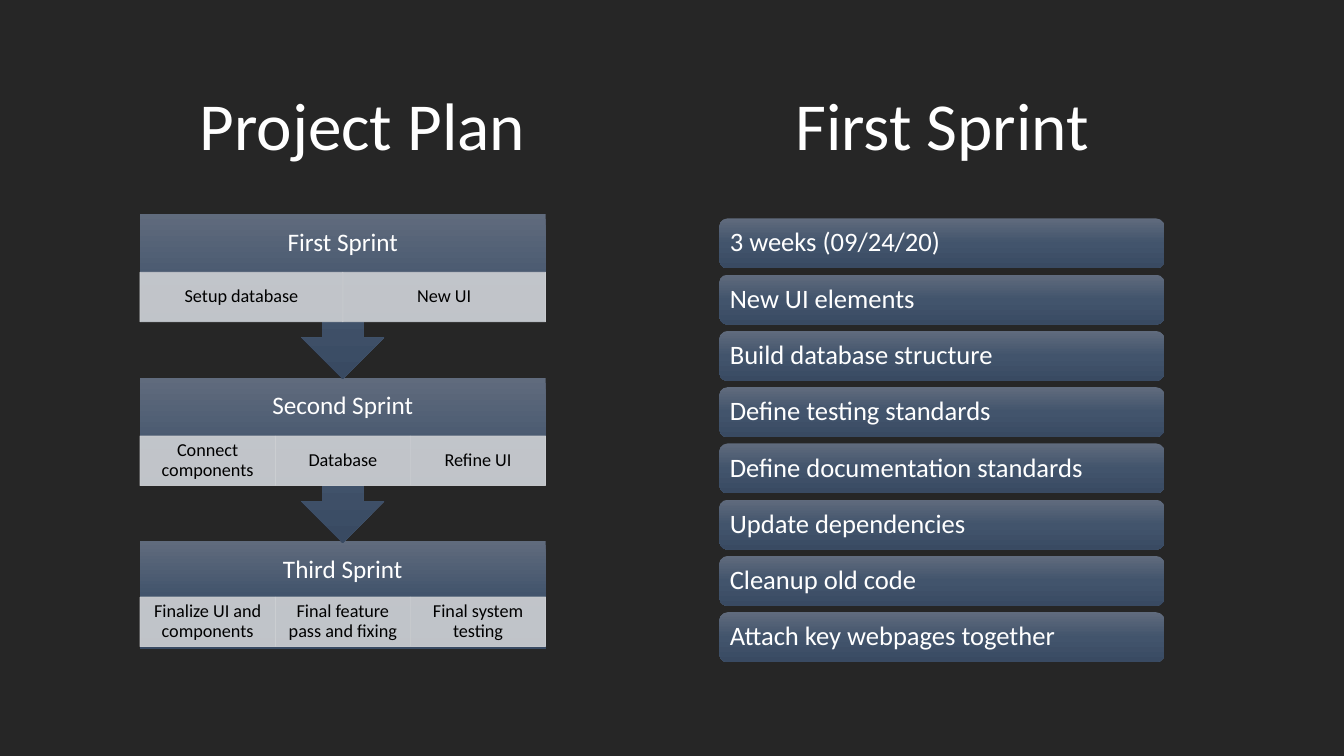
from copy import deepcopy

from lxml.etree import SubElement
from pptx import Presentation
from pptx.dml.color import RGBColor
from pptx.enum.shapes import MSO_SHAPE as Preset
from pptx.enum.text import MSO_ANCHOR as Anchor, MSO_AUTO_SIZE as AutoSize, PP_ALIGN as Align
from pptx.oxml.ns import qn
from pptx.util import Pt

COLORS = {"page": "262626", "top": "606B7D", "middle": "42546C", "bottom": "394A62",
          "task": "CFD1D4", "light": "FFFFFF", "dark": "000000"}
FONT = "Calibri"
SPRINTS = [
    ("First Sprint", ["Setup database", "New UI"]),
    ("Second Sprint", ["Connect components", "Database", "Refine UI"]),
    ("Third Sprint", ["Finalize UI and components", "Final feature pass and fixing",
                      "Final system testing"]),
]
GOALS = ["3 weeks (09/24/20)", "New UI elements", "Build database structure",
         "Define testing standards", "Define documentation standards",
         "Update dependencies", "Cleanup old code", "Attach key webpages together"]


def rgb(name):
    """Return the named colour."""
    return RGBColor.from_string(COLORS[name])


def write(shape, text, size, color, align, insets, spacing=0.9):
    """Put one formatted paragraph in a shape; insets run left, top, right, bottom."""
    frame = shape.text_frame
    frame.text = text
    frame.word_wrap = True
    frame.vertical_anchor = Anchor.MIDDLE
    frame.margin_left, frame.margin_top, frame.margin_right, frame.margin_bottom = map(Pt, insets)
    para = frame.paragraphs[0]
    para.alignment = align
    para.line_spacing = spacing
    span = para.runs[0]
    span.font.name = FONT
    span.font.size = Pt(size)
    span.font.color.rgb = rgb(color)


def add_block(page, preset, box):
    """Add a preset shape without shadow in a box of left, top, width, height."""
    shape = page.shapes.add_shape(preset, *map(Pt, box))
    shape.shadow.inherit = False
    return shape


def add_gradient_block(page, preset, box):
    """Add an unlined shape shaded from light at the top to dark at the bottom."""
    shape = add_block(page, preset, box)
    shape.line.fill.background()
    shape.fill.gradient()
    shape.fill.gradient_angle = 270
    stops = shape._element.spPr.find(".//" + qn("a:gsLst"))
    stops.insert(1, deepcopy(stops[0]))
    for stop, place, name in zip(shape.fill.gradient_stops, (0, 0.5, 1),
                                 ("top", "middle", "bottom")):
        stop.position = place
        stop.color.rgb = rgb(name)
    return shape


def add_task(page, box, text):
    """Add one translucent task cell."""
    cell = add_block(page, Preset.RECTANGLE, box)
    cell.fill.solid()
    cell.fill.fore_color.rgb = rgb("task")
    cell.line.color.rgb = rgb("task")
    cell.line.width = Pt(0.5)
    for color in cell._element.spPr.iter(qn("a:srgbClr")):
        SubElement(color, qn("a:alpha")).set("val", "90000")
    write(cell, text, 13, "dark", Align.CENTER, (7, 1.5, 7, 1.5))


def add_title(page, box, text):
    """Add a column title."""
    title = page.shapes.add_textbox(*map(Pt, box))
    write(title, text, 48, "light", Align.CENTER, (7.2, 3.6, 7.2, 3.6), 1)
    title.text_frame.vertical_anchor = Anchor.TOP
    title.text_frame.auto_size = AutoSize.SHAPE_TO_FIT_TEXT


def add_plan(page, box):
    """Stack the sprints from last to first, so each arrow overlaps the next block."""
    left, top, width, height = box
    body, header, task_height = 76.8, 41.8, 35.3
    pitch = (height - body) / (len(SPRINTS) - 1)
    last = len(SPRINTS) - 1
    for index, (name, tasks) in reversed(list(enumerate(SPRINTS))):
        y = top + index * pitch
        preset = Preset.RECTANGLE if index == last else Preset.DOWN_ARROW_CALLOUT
        block_height = body if index == last else pitch + 1
        block = add_gradient_block(page, preset, (left, y, width, block_height))
        write(block, name, 18, "light", Align.CENTER, (10, 0, 10, body - header))
        task_top = y + (39.8 if index == last else header)
        task_width = width / len(tasks)
        for column, task in enumerate(tasks):
            add_task(page, (left + column * task_width, task_top, task_width, task_height), task)


def add_goals(page, box):
    """Stack the sprint goals as evenly spaced rounded bars."""
    left, top, width, height = box
    bar = 35.7
    pitch = (height - bar) / (len(GOALS) - 1)
    for index, goal in enumerate(GOALS):
        shape = add_gradient_block(page, Preset.ROUNDED_RECTANGLE,
                                   (left, top + index * pitch, width, bar))
        write(shape, goal, 19, "light", Align.LEFT, (5.8, 4, 5.8, 4))


def main():
    """Build and save the deck."""
    deck = Presentation()
    deck.slide_width, deck.slide_height = Pt(960), Pt(540)
    page = deck.slides.add_slide(deck.slide_layouts[6])
    page.background.fill.solid()
    page.background.fill.fore_color.rgb = rgb("page")
    add_plan(page, (100, 152.7, 289.7, 310.8))
    add_title(page, (105, 56, 308, 65.5), "Project Plan")
    add_goals(page, (513.8, 156, 317.9, 317))
    add_title(page, (517.5, 56, 311, 65.5), "First Sprint")
    deck.save("out.pptx")


main()
